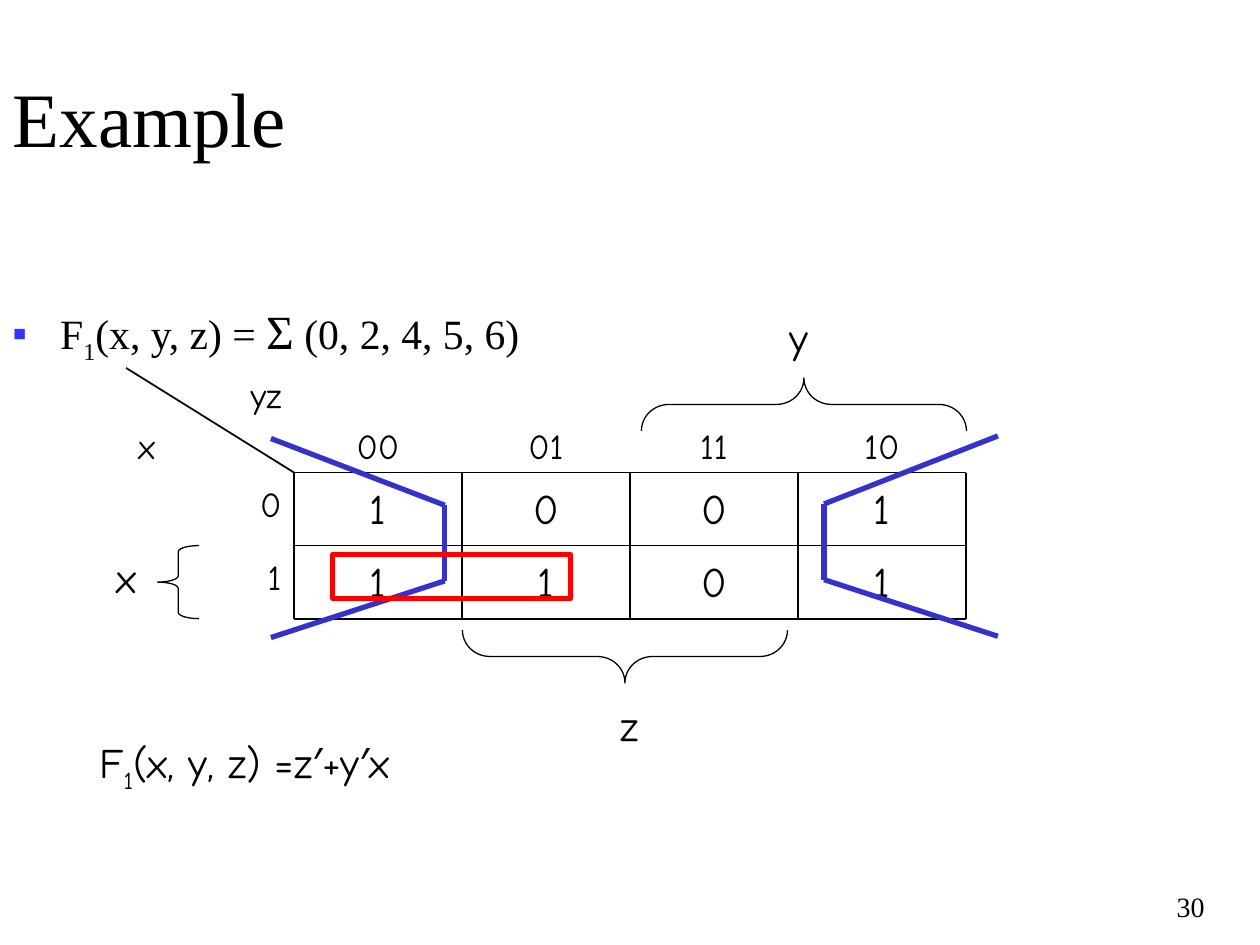
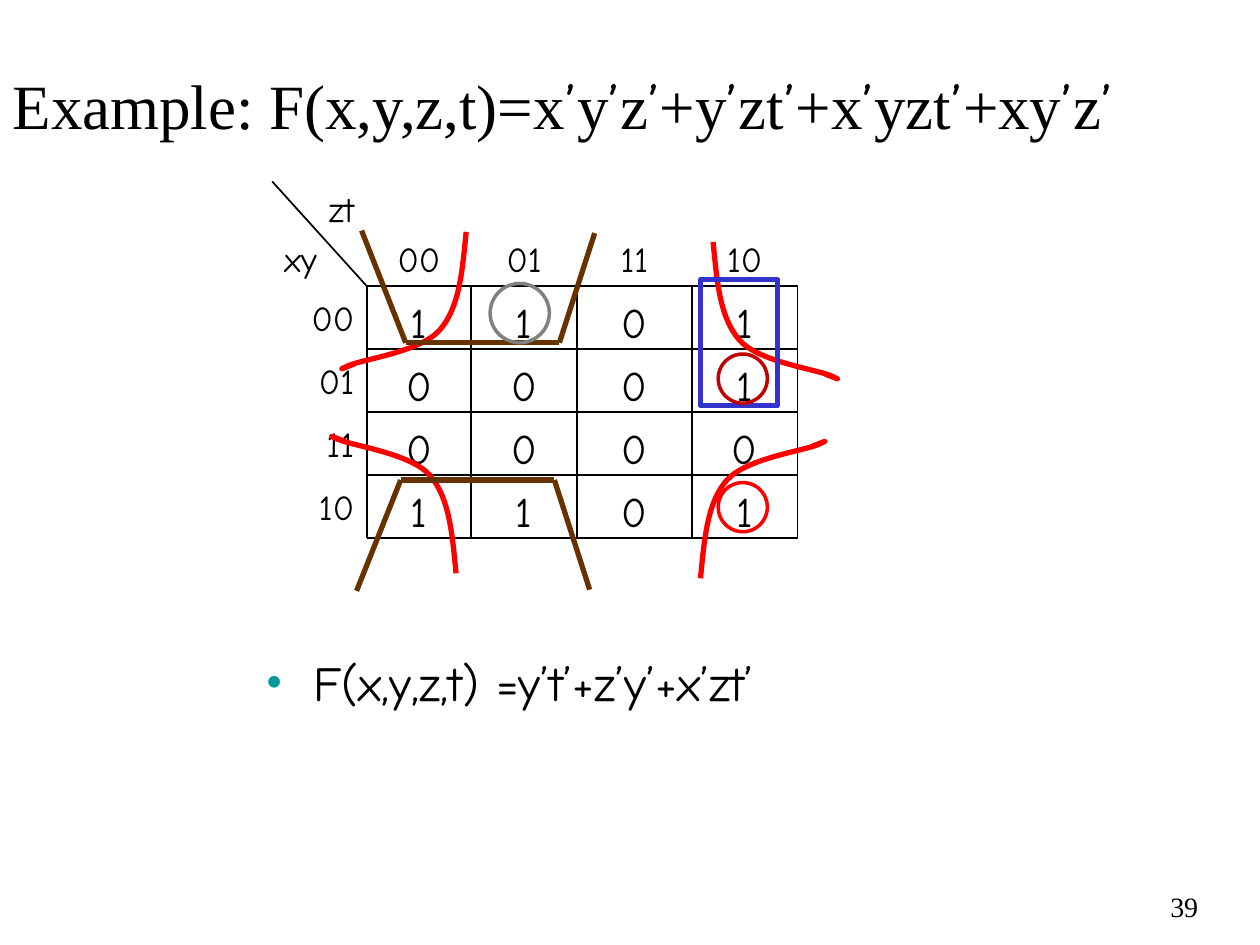
"""Build two slides that simplify functions with Karnaugh maps."""
from itertools import accumulate, groupby, pairwise

from lxml import etree
from pptx import Presentation
from pptx.dml.color import RGBColor
from pptx.enum.shapes import MSO_CONNECTOR, MSO_SHAPE
from pptx.enum.text import MSO_ANCHOR, MSO_AUTO_SIZE, PP_ALIGN
from pptx.oxml.ns import qn
from pptx.util import Inches, Pt

BLACK = RGBColor(0x00, 0x00, 0x00)
RED = RGBColor(0xFF, 0x00, 0x00)
WINE = RGBColor(0xC0, 0x00, 0x00)
GRAY = RGBColor(0x80, 0x80, 0x80)
BROWN = RGBColor(0x66, 0x33, 0x00)
BLUE = RGBColor(0x33, 0x33, 0xCC)
AZURE = RGBColor(0x33, 0x33, 0xFF)
TEAL = RGBColor(0x00, 0x99, 0x99)

SERIF, HAND = "Times New Roman", "Comic Neue"
LEFT, MID, RIGHT = PP_ALIGN.LEFT, PP_ALIGN.CENTER, PP_ALIGN.RIGHT
TOP, CENTER, LOW = MSO_ANCHOR.TOP, MSO_ANCHOR.MIDDLE, MSO_ANCHOR.BOTTOM
FIXED = MSO_AUTO_SIZE.NONE
LINE = MSO_CONNECTOR.STRAIGHT
RECT, OVAL, BRACE = MSO_SHAPE.RECTANGLE, MSO_SHAPE.OVAL, MSO_SHAPE.LEFT_BRACE

GRAY_CODE = ["00", "01", "11", "10"]
ARC = [
    (0.03, 0.3), (0.05, 0.6), (0.21, 0.78),
    (0.36, 0.95), (0.81, 1.01), (0.93, 1.06),
    (1.04, 1.11), (0.97, 1.08), (0.89, 1.05),
]


def inches(*values):
    """Turn numbers into lengths."""
    return [Inches(value) for value in values]


def put(target, **values):
    """Set each named attribute of the target."""
    for name, value in values.items():
        setattr(target, name, value)


def write(par, text, size, font=HAND, base=0):
    """Add one run to a paragraph."""
    run = par.add_run()
    run.text = text
    put(run.font, size=Pt(size), name=font)
    run.font.color.rgb = BLACK
    if base:
        run.font._element.set("baseline", str(base * 1000))


def label(slide, box, text="", size=24, font=HAND, wrap=False):
    """Add a text box and return its frame and first paragraph."""
    frame = slide.shapes.add_textbox(*inches(*box)).text_frame
    put(frame, word_wrap=wrap, auto_size=FIXED)
    par = frame.paragraphs[0]
    if text:
        write(par, text, size, font)
    return frame, par


def bullet(par, char, color):
    """Give a paragraph a coloured bullet and a hanging indent."""
    props = par._p.get_or_add_pPr()
    indent = Inches(0.38)
    props.set("marL", str(indent))
    props.set("indent", str(-indent))
    tint = etree.SubElement(props, qn("a:buClr"))
    etree.SubElement(tint, qn("a:srgbClr")).set("val", str(color))
    etree.SubElement(props, qn("a:buFont")).set("typeface", SERIF)
    etree.SubElement(props, qn("a:buChar")).set("char", char)


def start(deck, title, size, box, page, spot):
    """Add a slide with its title and page number."""
    slide = deck.slides.add_slide(deck.slide_layouts[5])
    head = slide.shapes.title
    names = ("left", "top", "width", "height")
    put(head, **dict(zip(names, inches(*box))))
    put(head.text_frame, word_wrap=True, auto_size=FIXED, vertical_anchor=CENTER)
    par = head.text_frame.paragraphs[0]
    par.alignment = LEFT
    for prime, chars in groupby(title, lambda char: char == "’"):
        write(par, "".join(chars), size, HAND if prime else SERIF)
    label(slide, spot, page, 16, SERIF)
    return slide


def trace(slide, points, color=BLACK, width=1):
    """Join the points with straight lines."""
    for first, last in pairwise(points):
        line = slide.shapes.add_connector(LINE, *inches(*first, *last))
        line.line.color.rgb = color
        line.line.width = Pt(width)
        etree.SubElement(line._element.spPr, qn("a:effectLst"))


def outline(shape, color, width):
    """Leave a shape unfilled with a plain line."""
    shape.shadow.inherit = False
    shape.fill.background()
    shape.line.color.rgb = color
    shape.line.width = Pt(width)


def ring(slide, kind, box, color, width):
    """Add an unfilled preset shape."""
    shape = slide.shapes.add_shape(kind, *inches(*box))
    outline(shape, color, width)
    return shape


def brace(slide, box, bend, turn=0):
    """Add a thin brace, turned by some degrees."""
    shape = ring(slide, BRACE, box, BLACK, 0.75)
    shape.adjustments[0] = bend
    shape.rotation = turn


def arc(slide, left, top, across, down):
    """Draw the corner curve, mirrored by the two signs."""
    pen = slide.shapes.build_freeform(*inches(left, top))
    dots = [inches(left + across * x, top + down * y) for x, y in ARC]
    pen.add_line_segments(dots, close=False)
    shape = pen.convert_to_shape()
    legs = list(shape._element.iter(qn("a:lnTo")))
    for trio in zip(legs[::3], legs[1::3], legs[2::3]):
        bend = etree.Element(qn("a:cubicBezTo"))
        trio[0].addprevious(bend)
        for leg in trio:
            bend.append(leg[0])
            leg.getparent().remove(leg)
    outline(shape, RED, 3)


def cell(slide, box, text, size, align, anchor=TOP):
    """Write one aligned line in a cell of the map."""
    frame, par = label(slide, box, text, size, wrap=True)
    frame.vertical_anchor = anchor
    if anchor == TOP:
        frame.margin_top = Inches(0.08)
    par.alignment = align
    return frame


def kmap(slide, spot, names, marks, rows, wide, tall):
    """Add a Karnaugh map with its headings and corner stroke."""
    xs = list(accumulate(wide, initial=spot[0]))
    ys = list(accumulate(tall, initial=spot[1]))
    for r, height in enumerate(tall):
        for c, width in enumerate(wide):
            box = (xs[c], ys[r], width, height)
            if r and c:
                cell(slide, box, rows[r - 1][c - 1], 24, MID)
            elif r:
                cell(slide, box, marks[r - 1], 20, RIGHT)
            elif c:
                cell(slide, box, GRAY_CODE[c - 1], 20, MID, LOW)
            else:
                frame = cell(slide, box, names[0], 20, RIGHT, LOW)
    par = frame.add_paragraph()
    put(par, alignment=LEFT, space_before=Pt(5))
    write(par, names[1], 20)
    trace(slide, [spot, (xs[1], ys[1])])
    for x in xs[1:]:
        trace(slide, [(x, ys[1]), (x, ys[-1])])
    for y in ys[1:]:
        trace(slide, [(xs[1], y), (xs[-1], y)])


def three(deck):
    """Build the map of three variables."""
    slide = start(deck, "Example", 44, (0, 0.3, 9, 1.25),
                  "30", (9.24, 7.01, 0.62, 0.49))
    par = label(slide, (0, 2.35, 9, 0.49), wrap=True)[1]
    bullet(par, "▪", AZURE)
    for text, size, base in (("F", 23.8, 0), ("1", 23.8, -25), ("(x, y, z) = ", 23.8, 0),
                             ("Σ", 27.2, 0), (" (0, 2, 4, 5, 6)", 23.8, 0)):
        write(par, text, size, SERIF, base)
    kmap(slide, (1, 2.92), ("yz", "x"), "01", ["1001", "1101"],
         [4 / 3] * 5, [0.83, 0.58, 0.58])
    brace(slide, (4.75, 3.92, 0.42, 2.58), 0.52, 270)
    brace(slide, (6.17, 1.92, 0.42, 2.58), 0.52, 90)
    brace(slide, (1.25, 4.33, 0.33, 0.58), 0.15)
    for name, left, top in (("z", 4.83, 5.5), ("y", 6.17, 2.42), ("x", 0.83, 4.33)):
        label(slide, (left, top, 0.4, 0.5), name)
    par = label(slide, (0.69, 5.8, 3.85, 0.5), "F", wrap=True)[1]
    write(par, "1", 24, base=-25)
    write(par, "(x, y, z) =z′+y′x", 24)
    trace(slide, [(7.92, 3.46), (6.54, 4), (6.54, 4.6), (7.92, 5.05)], BLUE, 3)
    trace(slide, [(2.15, 3.48), (3.53, 4.01), (3.53, 4.61), (2.15, 5.06)], BLUE, 3)
    ring(slide, RECT, (2.64, 4.4, 1.89, 0.35), RED, 3)


def four(deck):
    """Build the map of four variables."""
    slide = start(deck, "Example: F(x,y,z,t)=x’y’z’+y’zt’+x’yzt’+xy’z’", 36,
                  (0, 0.08, 9.69, 1.5), "39", (9.19, 7.01, 0.67, 0.49))
    kmap(slide, (2.16, 1.44), ("zt", "xy"), GRAY_CODE,
         ["1101", "0001", "0000", "1101"],
         [0.75, 0.83, 0.84, 0.91, 0.84], [0.83] + [0.5] * 4)
    par = label(slide, (2.01, 5.13, 4.91, 0.67), wrap=True)[1]
    bullet(par, "•", TEAL)
    write(par, "F(x,y,z,t) =y’t’+z’y’+x’zt’", 28)
    for left, top, across, down in ((5.66, 1.92, 1, 1), (5.56, 4.59, 1, -1),
                                    (3.62, 4.55, -1, -1), (3.7, 1.84, -1, 1)):
        arc(slide, left, top, across, down)
    trace(slide, [(2.87, 1.83), (3.22, 2.72), (4.44, 2.72), (4.72, 1.85)], BROWN, 3)
    trace(slide, [(2.83, 4.69), (3.18, 3.81), (4.4, 3.81), (4.68, 4.68)], BROWN, 3)
    ring(slide, RECT, (5.56, 2.22, 0.61, 1), BLUE, 3)
    for left, top, size, color in ((3.89, 2.25, 0.47, GRAY), (5.7, 2.81, 0.39, WINE),
                                   (5.7, 3.83, 0.39, RED)):
        ring(slide, OVAL, (left, top, size, size), color, 2)


def main():
    """Build and save the deck."""
    deck = Presentation()
    put(deck, slide_width=Inches(10), slide_height=Inches(7.5))
    three(deck)
    four(deck)
    deck.save("out.pptx")


if __name__ == "__main__":
    main()
